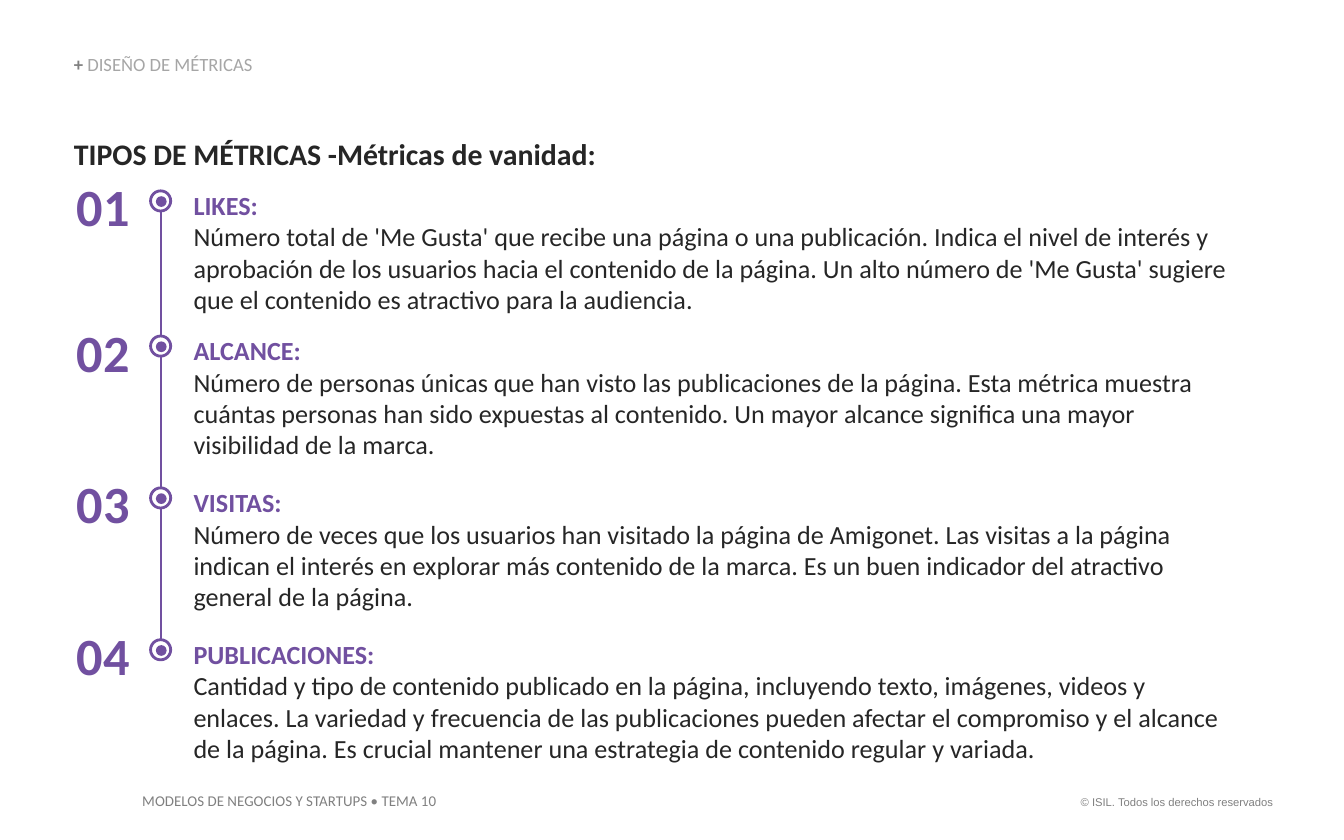
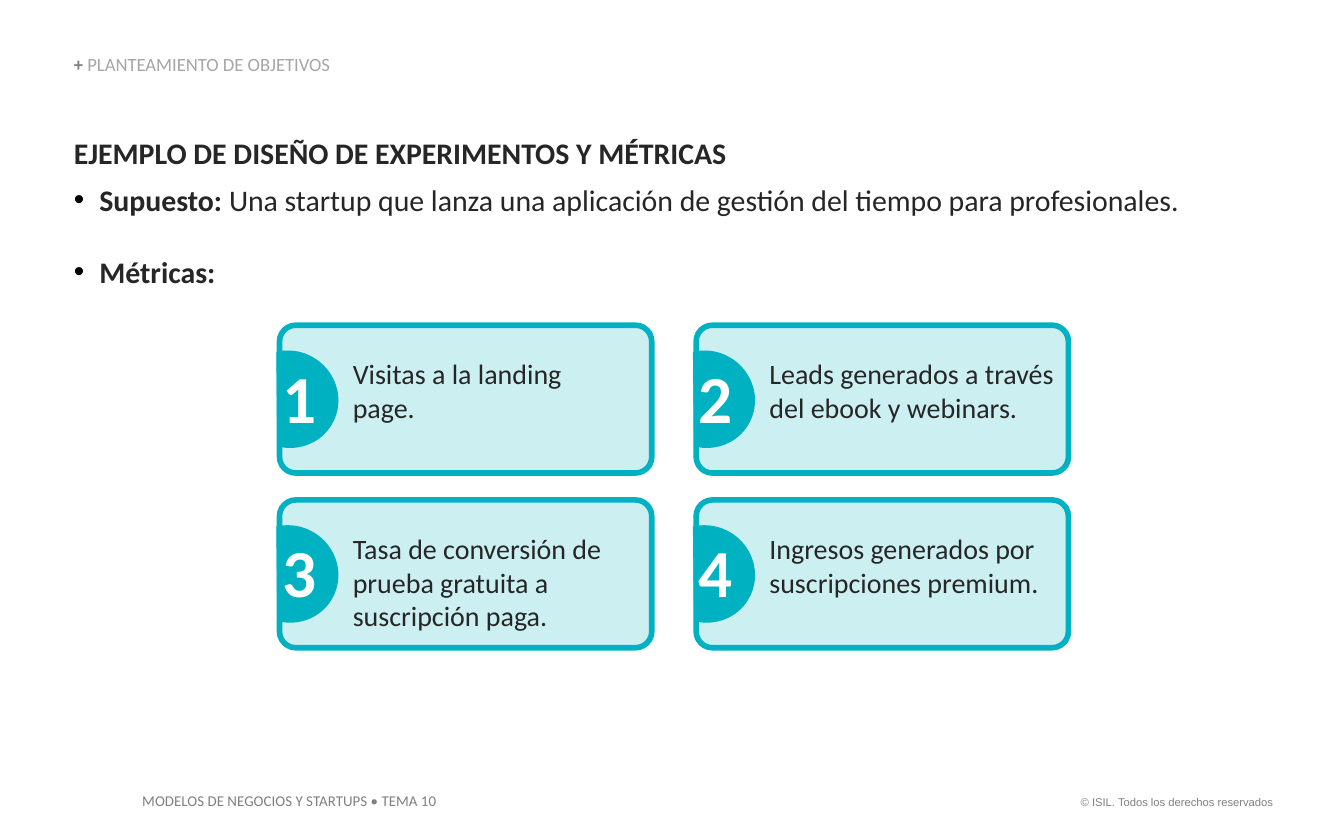
from lxml.etree import SubElement
from pptx import Presentation
from pptx.dml.color import RGBColor
from pptx.enum.shapes import MSO_CONNECTOR, MSO_SHAPE
from pptx.enum.text import MSO_ANCHOR, MSO_AUTO_SIZE, PP_ALIGN
from pptx.oxml.ns import qn
from pptx.util import Inches, Pt

WHITE = RGBColor(0xFF, 0xFF, 0xFF)
INK = RGBColor(0x26, 0x26, 0x26)
GRAY = RGBColor(0x80, 0x80, 0x80)
LIGHT_GRAY = RGBColor(0xA6, 0xA6, 0xA6)
PURPLE = RGBColor(0x71, 0x50, 0xA0)
TEAL = RGBColor(0x00, 0xB1, 0xC2)
PALE_TEAL = RGBColor(0xCC, 0xEF, 0xF2)

LEFT = 0.55
TITLE_SIZE = 16


def add_frame(slide, left, top, width, height, margin=0, anchor=MSO_ANCHOR.TOP):
    box = slide.shapes.add_textbox(Inches(left), Inches(top), Inches(width), Inches(height))
    frame = box.text_frame
    frame.word_wrap = True
    frame.auto_size = MSO_AUTO_SIZE.SHAPE_TO_FIT_TEXT
    frame.vertical_anchor = anchor
    frame.margin_left = frame.margin_right = Inches(margin)
    frame.margin_top = frame.margin_bottom = Inches(margin / 2)
    return frame


def write(paragraph, text, size, color=INK, bold=False, font="Calibri", align=PP_ALIGN.LEFT):
    paragraph.alignment = align
    for index, line in enumerate(text.split("\n")):
        if index:
            paragraph.add_line_break()
        run = paragraph.add_run()
        run.text = line
        run.font.name = font
        run.font.size = Pt(size)
        run.font.bold = bold
        run.font.color.rgb = color


presentation = Presentation()
presentation.slide_width = Inches(10)
presentation.slide_height = Inches(6.25)

slides = []
for section in ["DISEÑO DE MÉTRICAS", "PLANTEAMIENTO DE OBJETIVOS"]:
    slide = presentation.slides.add_slide(presentation.slide_layouts[6])
    slides.append(slide)
    rights = add_frame(slide, 7.88, 5.87, 1.69, 0.2, margin=0.1)
    write(rights.paragraphs[0], "© ISIL. Todos los derechos reservados", 6, GRAY,
          font="Arial", align=PP_ALIGN.RIGHT)
    course = add_frame(slide, 0.96, 5.84, 2.45, 0.24, margin=0.1)
    write(course.paragraphs[0], "MODELOS DE NEGOCIOS Y STARTUPS • TEMA 10", 8, GRAY)
    header = add_frame(slide, LEFT, 0.41, 4.25, 0.15, anchor=MSO_ANCHOR.BOTTOM).paragraphs[0]
    header.line_spacing = 0.9
    write(header, "+ ", 10, GRAY, bold=True)
    write(header, section, 10, LIGHT_GRAY)

metrics_slide, example_slide = slides

title = add_frame(metrics_slide, LEFT, 1.01, 4.25, 0.27)
write(title.paragraphs[0], "TIPOS DE MÉTRICAS -Métricas de vanidad:", TITLE_SIZE, bold=True)

metrics = [
    (1.3, "LIKES:",
     "Número total de 'Me Gusta' que recibe una página o una publicación. Indica el nivel de "
     "interés y aprobación de los usuarios hacia el contenido de la página. Un alto número de "
     "'Me Gusta' sugiere que el contenido es atractivo para la audiencia."),
    (2.38, "ALCANCE:",
     "Número de personas únicas que han visto las publicaciones de la página. Esta métrica "
     "muestra cuántas personas han sido expuestas al contenido. Un mayor alcance significa una "
     "mayor visibilidad de la marca."),
    (3.51, "VISITAS:",
     "Número de veces que los usuarios han visitado la página de Amigonet. Las visitas a la "
     "página indican el interés en explorar más contenido de la marca. Es un buen indicador del "
     "atractivo general de la página."),
    (4.64, "PUBLICACIONES:",
     "Cantidad y tipo de contenido publicado en la página, incluyendo texto, imágenes, videos y "
     "enlaces. La variedad y frecuencia de las publicaciones pueden afectar el compromiso y el "
     "alcance de la página. Es crucial mantener una estrategia de contenido regular y variada."),
]

timeline = metrics_slide.shapes.add_connector(
    MSO_CONNECTOR.STRAIGHT, Inches(1.2), Inches(1.58), Inches(1.2), Inches(4.91))
timeline.line.color.rgb = PURPLE
timeline.line.width = Pt(1)
SubElement(timeline._element.spPr, qn("a:effectLst"))

for number, (top, name, description) in enumerate(metrics, 1):
    number_frame = add_frame(metrics_slide, LEFT, top, 0.44, 0.47)
    write(number_frame.paragraphs[0], f"{number:02}", 28, PURPLE, bold=True,
          align=PP_ALIGN.CENTER)
    body = add_frame(metrics_slide, 1.44, top + 0.11, 7.7, 0.94)
    write(body.paragraphs[0], name, 14, PURPLE, bold=True)
    write(body.add_paragraph(), description, 14)
    marker = metrics_slide.shapes.add_group_shape()
    for offset, diameter, fill in [(0, 0.15, WHITE), (0.04, 0.08, PURPLE)]:
        circle = marker.shapes.add_shape(
            MSO_SHAPE.OVAL, Inches(1.12 + offset), Inches(top + 0.12 + offset),
            Inches(diameter), Inches(diameter))
        circle.shadow.inherit = False
        circle.fill.solid()
        circle.fill.fore_color.rgb = fill
        if fill == WHITE:
            circle.line.color.rgb = PURPLE
            circle.line.width = Pt(1.5)
        else:
            circle.line.fill.background()

outline = add_frame(example_slide, LEFT, 1, 8.93, 1.16)
title = outline.paragraphs[0]
title.space_after = Pt(6)
write(title, "EJEMPLO DE DISEÑO DE EXPERIMENTOS Y MÉTRICAS", TITLE_SIZE, bold=True)
bullets = [
    ("Supuesto: ",
     "Una startup que lanza una aplicación de gestión del tiempo para profesionales.", 0),
    ("Métricas:", "", 19.5),
]
for label, detail, space_before in bullets:
    paragraph = outline.add_paragraph()
    properties = paragraph._p.get_or_add_pPr()
    properties.set("marL", str(Inches(0.19)))
    properties.set("indent", str(Inches(-0.19)))
    bullet_color = SubElement(properties, qn("a:buClr"))
    SubElement(bullet_color, qn("a:srgbClr"), val="000000")
    SubElement(properties, qn("a:buFont"), typeface="Arial")
    SubElement(properties, qn("a:buChar"), char="•")
    paragraph.space_before = Pt(space_before)
    write(paragraph, label, TITLE_SIZE, bold=True)
    if detail:
        write(paragraph, detail, TITLE_SIZE)

cards = [
    "Visitas a la landing\npage.",
    "Leads generados a través del ebook y webinars.",
    "Tasa de conversión de prueba gratuita a suscripción paga.",
    "Ingresos generados por suscripciones premium.",
]
for index, text in enumerate(cards):
    row, column = divmod(index, 2)
    left = 2.08 + column * 3.1
    top = 2.42 + row * 1.3
    card = example_slide.shapes.add_shape(
        MSO_SHAPE.ROUNDED_RECTANGLE, Inches(left), Inches(top), Inches(2.77), Inches(1.1))
    card.adjustments[0] = 0.11
    card.shadow.inherit = False
    card.fill.solid()
    card.fill.fore_color.rgb = PALE_TEAL
    card.line.color.rgb = TEAL
    card.line.width = Pt(3)
    frame = card.text_frame
    frame.word_wrap = True
    frame.vertical_anchor = MSO_ANCHOR.TOP
    frame.margin_left = Inches(0.51)
    frame.margin_top = Inches(0.2)
    frame.margin_right = Inches(0.04)
    frame.margin_bottom = Inches(0.05)
    write(frame.paragraphs[0], text, 15)

    tab = example_slide.shapes.add_shape(
        MSO_SHAPE.CHORD, Inches(left - 0.3), Inches(top + 0.19), Inches(0.74), Inches(0.72))
    tab.adjustments[0] = 27
    tab.adjustments[1] = 152.33
    tab.rotation = 210
    tab.shadow.inherit = False
    tab.fill.solid()
    tab.fill.fore_color.rgb = TEAL
    tab.line.fill.background()

    number_frame = add_frame(example_slide, left - 0.08, top + 0.18, 0.41, 0.71, margin=0.1)
    write(number_frame.paragraphs[0], str(index + 1), 36, WHITE, bold=True)

presentation.save("out.pptx")
